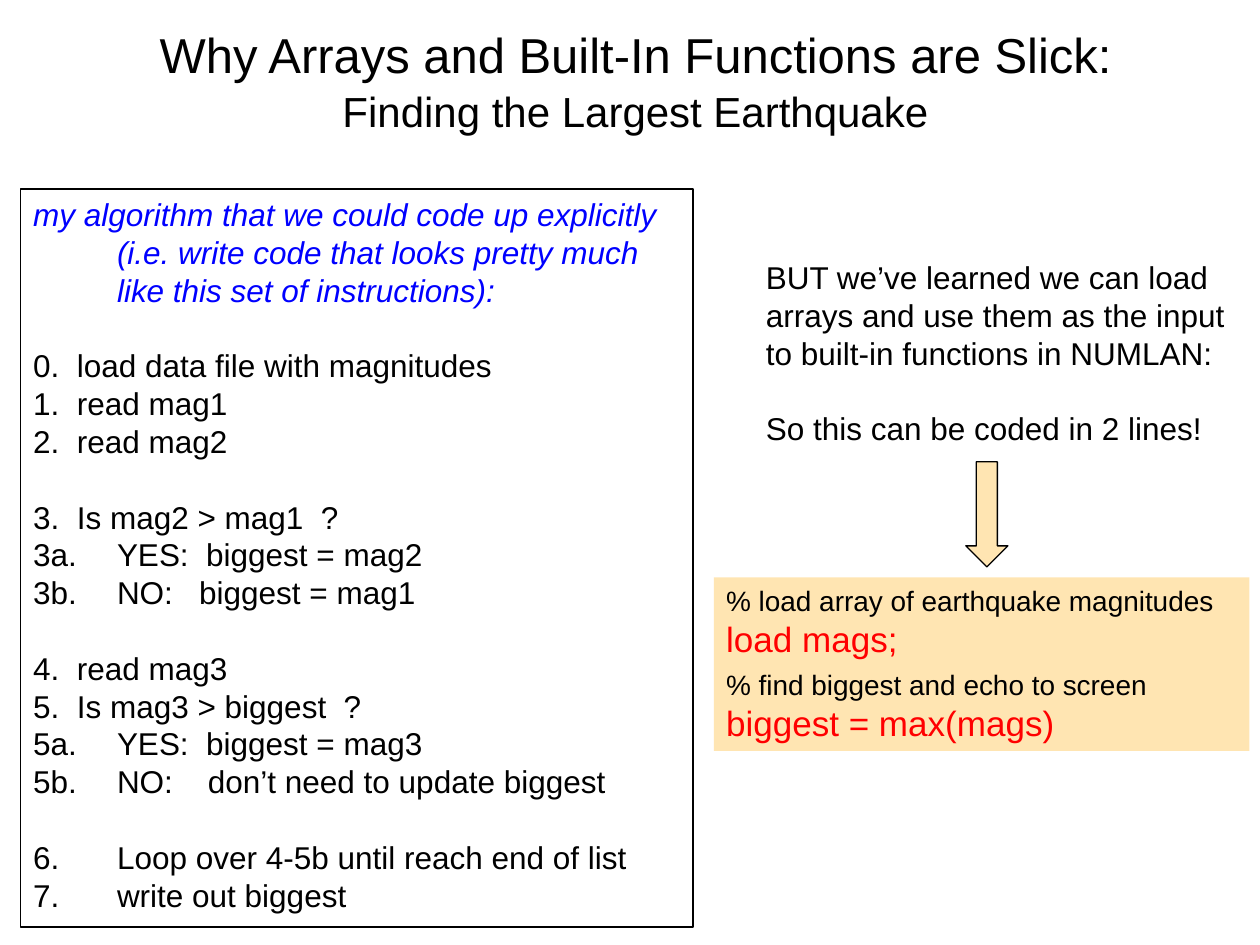
from lxml.etree import SubElement
from pptx import Presentation
from pptx.dml.color import RGBColor
from pptx.enum.shapes import MSO_SHAPE as Shape
from pptx.enum.text import MSO_ANCHOR as Anchor, MSO_AUTO_SIZE as AutoSize, PP_ALIGN as Align
from pptx.oxml.ns import qn
from pptx.util import Cm, Pt

COLORS = {"ink": "000000", "paper": "FFFFFF", "intro": "0000FF", "code": "FF0000", "sand": "FFCC66"}
FONT = "Arial"
LEADING = 1.2
HANGING = Cm(1.69)

INTRO = ("my algorithm that we could code up explicitly (i.e. write code "
         "that looks pretty much like this set of instructions):")
STEP_GROUPS = [
    ["0.  load data file with magnitudes", "1.  read mag1", "2.  read mag2"],
    ["3.  Is mag2 > mag1  ?", "3a.\tYES:  biggest = mag2", "3b.\tNO:   biggest = mag1"],
    ["4.  read mag3", "5.  Is mag3 > biggest  ?", "5a.\tYES:  biggest = mag3",
     "5b.\tNO:    don’t need to update biggest"],
]
FINAL_STEPS = ["Loop over 4-5b until reach end of list", "write out biggest"]
CODE_LINES = [
    ("% load array of earthquake magnitudes", dict(size=16)),
    ("load mags;", dict(size=20, color="code")),
    ("% find biggest and echo to screen", dict(size=16, leading=24)),
    ("biggest = max(mags)", dict(size=20, color="code")),
]


def rgb(name):
    """Return the named colour."""
    return RGBColor.from_string(COLORS[name])


def format_run(run, size, color="ink", italic=False):
    """Set the font of one run."""
    run.font.name, run.font.size, run.font.italic = FONT, Pt(size), italic
    run.font.color.rgb = rgb(color)


def add_text(frame, text, size=18, color="ink", italic=False, leading=None,
             gap=0, hanging=False, number_from=None):
    """Append a formatted paragraph to a text frame."""
    first = frame.paragraphs[0]
    paragraph = frame.add_paragraph() if first.runs else first
    paragraph.alignment = Align.LEFT
    paragraph.line_spacing = Pt(leading or LEADING * size)
    paragraph.space_before = Pt(gap)
    run = paragraph.add_run()
    run.text = text
    format_run(run, size, color, italic)
    properties = paragraph._p.get_or_add_pPr()
    if hanging:
        properties.set("marL", str(HANGING))
        properties.set("indent", str(-HANGING))
    if number_from:
        SubElement(properties, qn("a:buFont"), typeface=FONT)
        SubElement(properties, qn("a:buAutoNum"), type="arabicPeriod", startAt=str(number_from))


def prepare_frame(shape):
    """Make the text wrap from the top of a shape and return its frame."""
    frame = shape.text_frame
    frame.word_wrap = True
    frame.vertical_anchor = Anchor.TOP
    frame.auto_size = AutoSize.SHAPE_TO_FIT_TEXT
    return frame


def add_panel(slide, kind, box, fill, opacity=100, outlined=False):
    """Add a filled shape, optionally translucent and outlined."""
    panel = slide.shapes.add_shape(kind, *map(Cm, box))
    panel.shadow.inherit = False
    panel.fill.solid()
    panel.fill.fore_color.rgb = rgb(fill)
    if opacity < 100:
        tint = panel._element.spPr.find(qn("a:solidFill"))[0]
        SubElement(tint, qn("a:alpha"), val=str(opacity * 1000))
    if outlined:
        panel.line.color.rgb = rgb("ink")
        panel.line.width = Pt(0.75)
    else:
        panel.line.fill.background()
    return panel


def add_title(slide):
    """Fill the title placeholder with heading and subheading."""
    title = slide.shapes.title
    title.left, title.top, title.width, title.height = map(Cm, (1.06, 0.64, 23.5, 1.9))
    frame = title.text_frame
    frame.auto_size = AutoSize.NONE
    frame.vertical_anchor = Anchor.MIDDLE
    paragraph = frame.paragraphs[0]
    paragraph.alignment = Align.CENTER
    paragraph.line_spacing = 1.04
    heading = paragraph.add_run()
    heading.text = "Why Arrays and Built-In Functions are Slick:"
    format_run(heading, 28)
    paragraph.add_line_break()
    subheading = paragraph.add_run()
    subheading.text = "Finding the Largest Earthquake"
    format_run(subheading, 24)


def add_algorithm(slide):
    """Add the framed list of explicit steps."""
    panel = add_panel(slide, Shape.RECTANGLE, (0.42, 3.81, 13.55, 14.88), "paper", outlined=True)
    frame = prepare_frame(panel)
    add_text(frame, INTRO, color="intro", italic=True, hanging=True)
    for steps in STEP_GROUPS + [FINAL_STEPS]:
        for position, step in enumerate(steps):
            add_text(frame, step, hanging=True, gap=0 if position else 18 * LEADING,
                     number_from=6 if steps is FINAL_STEPS else None)


def add_remark(slide):
    """Add the remark on built-in functions."""
    frame = prepare_frame(slide.shapes.add_textbox(*map(Cm, (15.19, 5.08, 10.21, 4.11))))
    add_text(frame, "BUT we’ve learned we can load arrays and use them as the input "
                    "to built-in functions in NUMLAN:")
    add_text(frame, "So this can be coded in 2 lines!", gap=18 * LEADING)


def add_code(slide):
    """Add the two-line program and the arrow leading to it."""
    panel = add_panel(slide, Shape.RECTANGLE, (14.39, 11.64, 10.8, 3.5), "sand", opacity=50)
    frame = prepare_frame(panel)
    for line, style in CODE_LINES:
        add_text(frame, line, **style)
    add_panel(slide, Shape.DOWN_ARROW, (19.47, 9.31, 0.85, 2.12), "sand", opacity=50, outlined=True)


def main():
    """Build and save the slide."""
    deck = Presentation()
    deck.slide_width, deck.slide_height = Cm(25.4), Cm(19.05)
    slide = deck.slides.add_slide(deck.slide_layouts[5])
    add_title(slide)
    add_remark(slide)
    add_algorithm(slide)
    add_code(slide)
    deck.save("out.pptx")


main()
